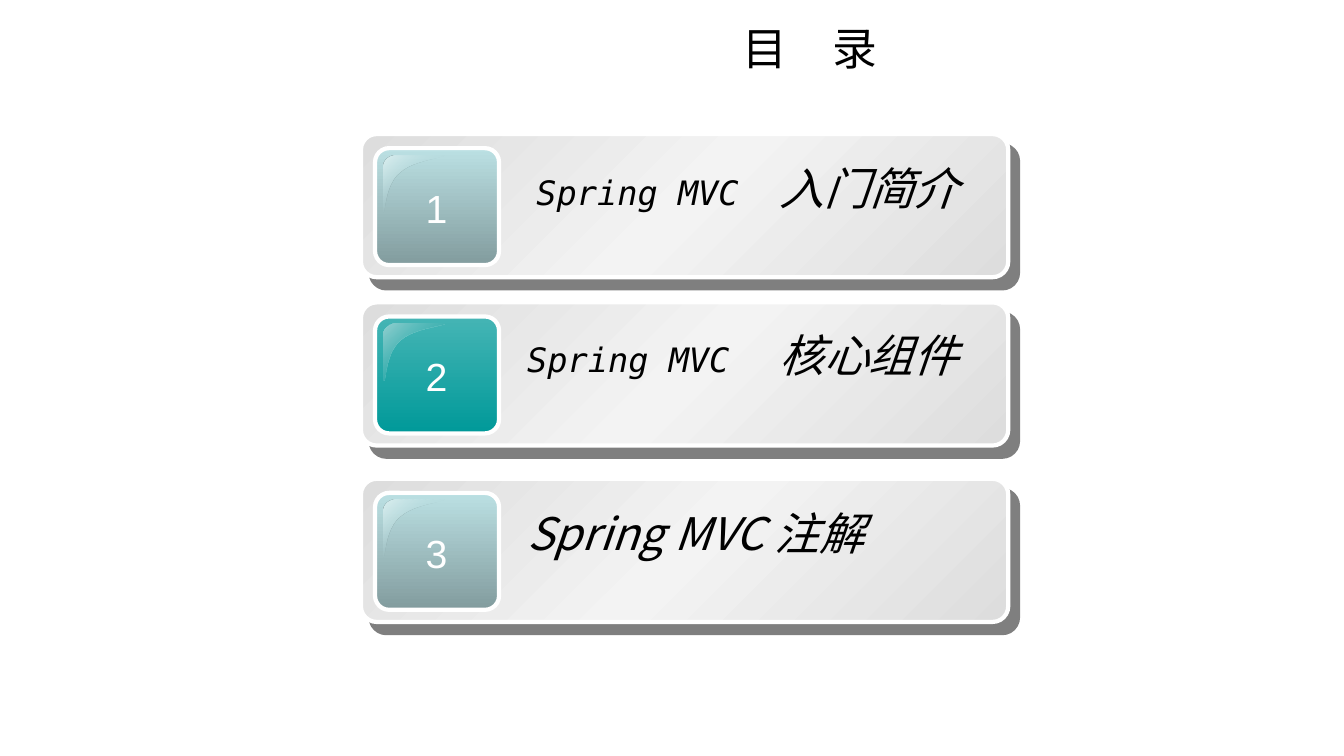
from lxml import etree
from pptx import Presentation
from pptx import util as u
from pptx.dml.color import RGBColor
from pptx.enum import shapes, text
from pptx.oxml.ns import qn

BLACK = RGBColor(0, 0, 0)
WHITE = RGBColor(255, 255, 255)
SILVER = RGBColor(0xDD, 0xDD, 0xDD)
PALE = RGBColor(0xF3, 0xF3, 0xF3)
SKY = RGBColor(0xBB, 0xE0, 0xE3)
SLATE = RGBColor(0x82, 0x9C, 0x9E)
MIST = RGBColor(0xDD, 0xEF, 0xF0)
AQUA = RGBColor(0x45, 0xB5, 0xB5)
TEAL = RGBColor(0, 0x99, 0x99)
FOAM = RGBColor(0x94, 0xD1, 0xD1)

SANS, MONO, SERIF, ARIAL = (
    "Noto Sans CJK SC", "DejaVu Sans Mono", "Times New Roman", "Arial")

PANEL = [(0, SILVER), (50, PALE), (100, SILVER)]
LIGHT = ([(0, SKY), (100, SLATE)],
         [(0, MIST), (50, SKY, 0), (100, MIST)])
DARK = ([(0, AQUA), (100, TEAL)],
        [(0, FOAM), (100, TEAL, 0)])

# Outline of the gloss, relative to the panel's top left corner
START = (0.34, 0.21)
CURVES = [
    [START, (0.28, 0.21), (0.22, 0.26), (0.22, 0.32)],
    [(0.22, 0.78), (0.25, 0.79), (0.23, 0.51), (0.39, 0.38)],
    [(0.39, 0.38), (0.54, 0.25), (0.84, 0.24), (0.83, 0.21)],
]
LEFT = 3.58

# top, text offset, left inset, badge style, runs of (text, size, font)
ROWS = [
    (1.33, 0.22, 0.19, LIGHT,
     [("Spring MVC\t", 24, MONO), ("入门简介", 32, SERIF)]),
    (3, 0.2, 0.1, DARK,
     [("Spring MVC\t", 24, MONO), ("核心组件", 32, SERIF)]),
    (4.75, 0.22, 0.1, LIGHT, [("Spring MVC 注解", 32, SANS)]),
]


def bezier(a, b, c, d, steps=12):
    """Return points along a cubic curve, both ends included."""
    points = []
    for i in range(steps + 1):
        t = i / steps
        s = 1 - t
        points.append(tuple(
            s**3 * p + 3 * s * s * t * q + 3 * s * t * t * r + t**3 * e
            for p, q, r, e in zip(a, b, c, d)))
    return points


class Deck:
    def __init__(self):
        self.prs = Presentation()
        self.prs.slide_width = u.Inches(13.33)
        self.prs.slide_height = u.Inches(7.5)
        self.slide = self.prs.slides.add_slide(self.prs.slide_layouts[6])
        self.shapes = self.slide.shapes

    def group(self):
        """Put the elements that follow into a new group."""
        self.shapes = self.slide.shapes.add_group_shape().shapes

    def blend(self, shape, stops, angle):
        """Fill with (percent, colour[, opacity]) stops, angle clockwise."""
        shape.shadow.inherit = False
        shape.fill.gradient()
        shape.fill.gradient_angle = 360 - angle
        grad = shape._element.spPr.find(qn("a:gradFill"))
        items = grad.find(qn("a:gsLst"))
        for old in list(items):
            items.remove(old)
        for place, color, *alpha in stops:
            stop = etree.SubElement(items, qn("a:gs"), pos=str(place * 1000))
            tone = etree.SubElement(stop, qn("a:srgbClr"), val=str(color))
            for part in alpha:
                etree.SubElement(tone, qn("a:alpha"), val=str(part * 1000))

    def box(self, x, y, w, h, corner, stops, angle):
        shape = self.shapes.add_shape(
            shapes.MSO_SHAPE.ROUNDED_RECTANGLE,
            u.Inches(x), u.Inches(y), u.Inches(w), u.Inches(h))
        shape.adjustments[0] = corner
        self.blend(shape, stops, angle)
        shape.line.color.rgb = WHITE
        shape.line.width = u.Pt(3)
        return shape

    def shade(self, shape):
        """Add a hard, half transparent shadow to the lower right."""
        effects = shape._element.spPr.find(qn("a:effectLst"))
        shadow = etree.SubElement(
            effects, qn("a:outerShdw"), dist=str(u.Pt(10.6)),
            dir=str(49 * 60000), algn="ctr", rotWithShape="0")
        tone = etree.SubElement(shadow, qn("a:srgbClr"), val=str(BLACK))
        etree.SubElement(tone, qn("a:alpha"), val="50000")

    def gloss(self, x, y, stops):
        points = [(u.Inches(x + px), u.Inches(y + py))
                  for curve in CURVES for px, py in bezier(*curve)]
        form = self.shapes.build_freeform(*points[0])
        form.add_line_segments(points[1:], close=True)
        shape = form.convert_to_shape()
        self.blend(shape, stops, 45)
        shape.line.fill.background()

    def label(self, x, y, w, h, runs, color=BLACK, inset=0.1, wrap=True,
              align=text.PP_ALIGN.LEFT, italic=False):
        shape = self.shapes.add_textbox(
            u.Inches(x), u.Inches(y), u.Inches(w), u.Inches(h))
        frame = shape.text_frame
        frame.word_wrap = wrap
        frame.margin_left = u.Inches(inset)
        para = frame.paragraphs[0]
        para.alignment = align
        para.font.color.rgb = color
        para.font.italic = italic
        for words, size, face in runs:
            run = para.add_run()
            run.text = words
            font = para.font if len(runs) == 1 else run.font
            font.size = u.Pt(size)
            font.name = face
        return para

    def tab(self, para, place):
        props = para._p.get_or_add_pPr()
        tabs = etree.Element(qn("a:tabLst"))
        etree.SubElement(tabs, qn("a:tab"), pos=str(u.Inches(place)), algn="l")
        props.find(qn("a:defRPr")).addprevious(tabs)

    def row(self, number, top, drop, inset, style, runs):
        badge, shine = style
        self.group()
        self.shade(self.box(LEFT, top, 6.42, 1.42, 0.11, PANEL, 45))
        self.box(LEFT + 0.14, top + 0.14, 1.23, 1.16, 0.12, badge, 90)
        self.gloss(LEFT, top, shine)
        self.label(LEFT + 0.54, top + 0.45, 0.42, 0.57,
                   [(str(number), 28, ARIAL)], WHITE, wrap=False,
                   align=text.PP_ALIGN.CENTER)
        para = self.label(LEFT + 1.55, top + drop, 4.72, 0.64, runs,
                          inset=inset, italic=True)
        if len(runs) > 1:
            self.tab(para, 2.6 - inset)


def main():
    deck = Deck()
    title = deck.label(2.42, 0, 8.51, 0.75, [("目　录", 32, SANS)],
                       inset=2.81, align=text.PP_ALIGN.CENTER)
    title.line_spacing = 1.3
    title.space_before = u.Pt(6.4)
    for number, row in enumerate(ROWS, 1):
        deck.row(number, *row)
    deck.prs.save("out.pptx")


if __name__ == "__main__":
    main()
